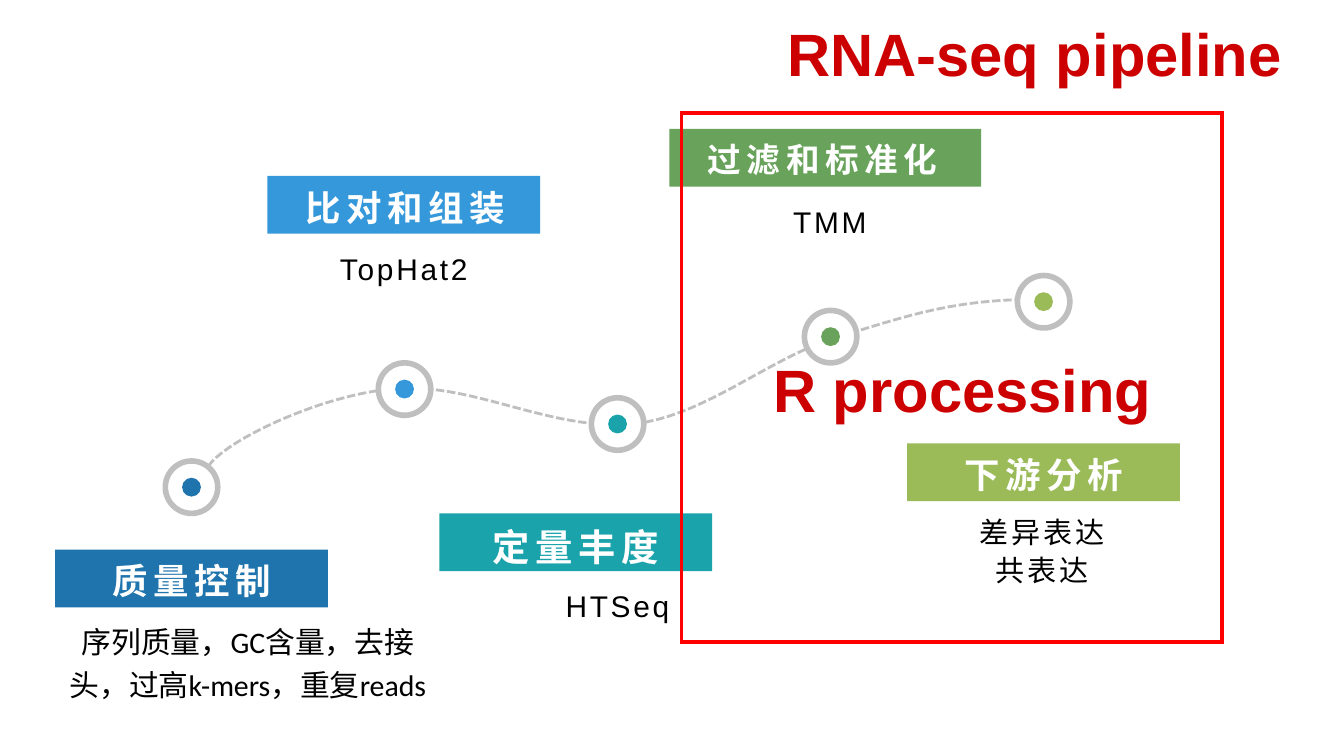
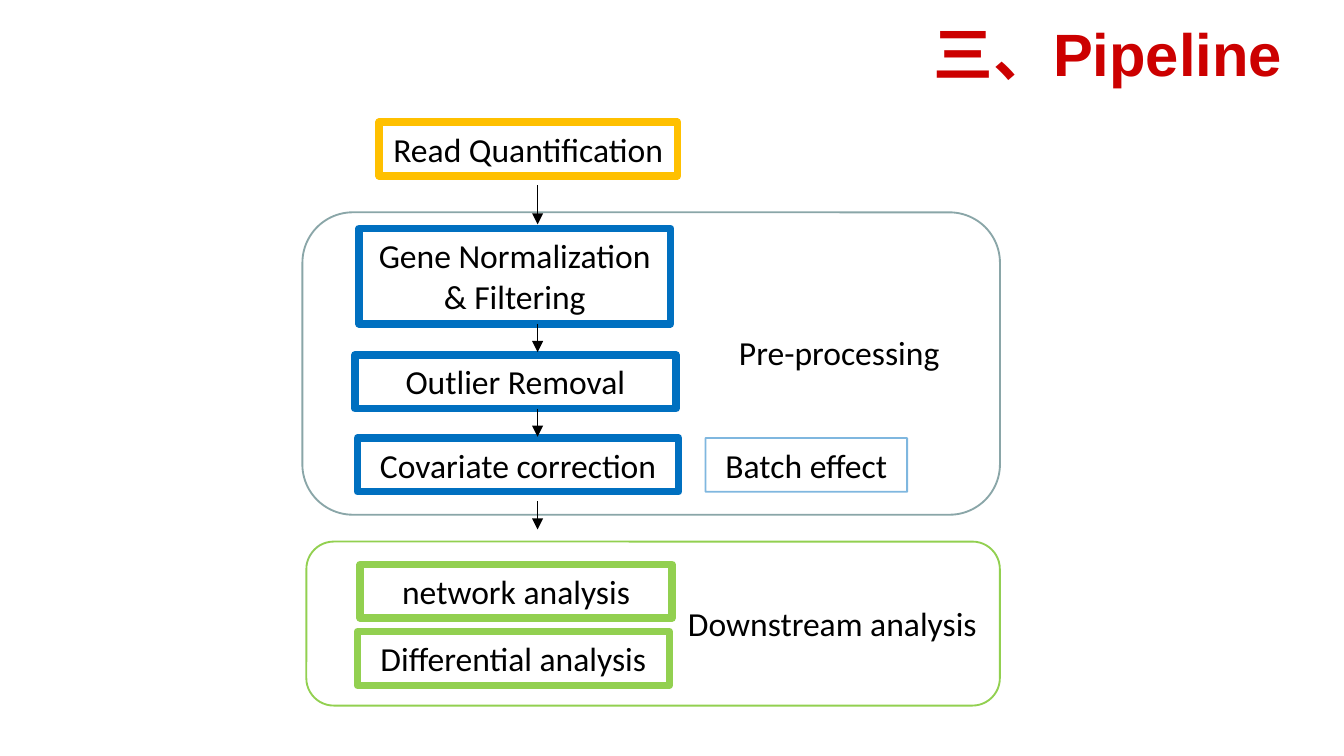
import pptx
import pptx.util
import pptx.dml.color
import pptx.enum.dml
import pptx.enum.shapes
import pptx.enum.text
import pptx.oxml
from pptx.oxml.ns import nsdecls, qn
from dataclasses import dataclass

Inches = pptx.util.Inches
Pt = pptx.util.Pt
SHAPE = pptx.enum.shapes.MSO_SHAPE
ALIGN = pptx.enum.text.PP_ALIGN
ANCHOR = pptx.enum.text.MSO_ANCHOR


@dataclass(frozen=True)
class Theme:
    red: str = "CC0000"
    frame: str = "FF0000"
    black: str = "000000"
    white: str = "FFFFFF"
    track: str = "BFBFBF"
    navy: str = "1F74AD"
    sky: str = "3498DB"
    teal: str = "1AA3AA"
    green: str = "69A35B"
    olive: str = "9BBB59"
    amber: str = "FFC000"
    blue: str = "0070C0"
    lime: str = "92D050"
    slate: str = "8AA6A8"
    heading_font: str = "Arial"
    body_font: str = "Calibri"
    title_size: float = 32
    flow_size: float = 18
    detail_size: float = 16


THEME = Theme()

SLIDE_WIDTH = 10
SLIDE_HEIGHT = SLIDE_WIDTH * 9 / 16

TITLE_BOX = (1.06, 0.16, 8.58, 0.46)
TITLES = ["RNA-seq pipeline", "三、Pipeline"]

R_LABEL = ("R processing", (3.94, 2.66, 4.73, 0.46))
R_FRAME = (5.07, 0.84, 4.02, 3.94)

CURVE_START = (1.55, 3.47)
CURVE_SEGMENTS = [
    ((1.69, 3.26), (2.5, 2.89), (3.03, 2.89)),
    ((3.56, 2.88), (4.07, 3.18), (4.64, 3.16)),
    ((5.21, 3.14), (5.72, 2.65), (6.26, 2.5)),
    ((6.79, 2.34), (7.14, 2.21), (7.86, 2.23)),
]
CURVE_STEPS = 20

FIRST_STOP, LAST_STOP = 1.23, 7.57
RING, DOT = 0.39, 0.14
STOPS = [
    (3.43, THEME.navy),
    (2.7, THEME.sky),
    (2.96, THEME.teal),
    (2.31, THEME.green),
    (2.05, THEME.olive),
]

BAR_HEIGHT, DETAIL_HEIGHT, DETAIL_DROP = 0.43, 0.7, 0.45
STAGES = [
    dict(label="质量控制", color=THEME.navy, bar=(0.41, 4.09, 2.03), label_at=(0.5, 4.09, 1.85),
         size=19, leading=1.1, details=["序列质量，GC含量，去接头，过高k-mers，重复reads"],
         detail_at=(0.41, 2.87), detail_font=THEME.body_font, detail_spacing=0),
    dict(label="定量丰度", color=THEME.teal, bar=(3.27, 3.82, 2.03), label_at=(3.36, 3.82, 1.85),
         size=20, leading=1.2, details=["HTSeq"], detail_at=(3.58, 2.03)),
    dict(label="下游分析", color=THEME.olive, bar=(6.75, 3.3, 2.03), label_at=(6.84, 3.3, 1.85),
         size=19, leading=1.1, details=["差异表达", "共表达"], detail_at=(6.74, 2.03),
         detail_size=15.6, detail_leading=1.1),
    dict(label="比对和组装", color=THEME.sky, bar=(1.99, 1.31, 2.03), label_at=(2.09, 1.31, 1.85),
         size=19, leading=1.1, details=["TopHat2"], detail_at=(1.99, 2.03)),
    dict(label="过滤和标准化", color=THEME.green, bar=(4.98, 0.96, 2.32), label_at=(5.04, 0.94, 2.16),
         size=18, leading=1.2, details=["TMM"], detail_at=(5.16, 2.03)),
]

FLOW_GROUPS = [
    ((2.25, 1.58, 5.19, 2.25), THEME.slate),
    ((2.28, 4.03, 5.16, 1.22), THEME.lime),
]
FLOW_BOXES = [
    ("Read Quantification", (2.82, 0.91, 2.22, 0.4), THEME.amber),
    ("Gene Normalization & Filtering", (2.67, 1.7, 2.32, 0.71), THEME.blue),
    ("Outlier Removal", (2.64, 2.64, 2.39, 0.4), THEME.blue),
    ("Covariate correction", (2.66, 3.26, 2.39, 0.4), THEME.blue),
    ("network analysis", (2.68, 4.2, 2.32, 0.4), THEME.lime),
    ("Differential analysis", (2.66, 4.7, 2.32, 0.4), THEME.lime),
]
BATCH_BOX = ("Batch effect", (5.25, 3.26, 1.5, 0.4), THEME.blue)
GROUP_LABELS = [
    ("Pre-processing", (5.4, 2.42, 1.69, 0.4), False),
    ("Downstream analysis", (5.02, 4.44, 2.42, 0.4), True),
]
ARROW_X = 4
ARROWS = [(1.38, 1.67), (2.41, 2.62), (3.04, 3.25), (3.73, 3.94)]


def rgb(color):
    return pptx.dml.color.RGBColor.from_string(color)


def inches(box):
    return [Inches(value) for value in box]


def append_element(parent, name, attributes=""):
    parent.append(pptx.oxml.parse_xml(f'<a:{name} {nsdecls("a")} {attributes}/>'))


def line_element(shape):
    return shape._element.spPr.find(qn("a:ln"))


def write(shape, lines, size, font=THEME.heading_font, color=THEME.black, bold=False,
          align=ALIGN.CENTER, anchor=ANCHOR.TOP, leading=None, spacing=0, wrap=True):
    frame = shape.text_frame
    frame.text = "\n".join(lines)
    frame.word_wrap = wrap
    frame.vertical_anchor = anchor
    for paragraph in frame.paragraphs:
        paragraph.alignment = align
        if leading:
            paragraph.line_spacing = leading
        for run in paragraph.runs:
            run.font.size = Pt(size)
            run.font.name = font
            run.font.bold = bold
            run.font.color.rgb = rgb(color)
            if spacing:
                run._r.get_or_add_rPr().set("spc", str(int(spacing * 100)))


def add_text(slide, lines, box, size, **style):
    shape = slide.shapes.add_textbox(*inches(box))
    write(shape, lines, size, **style)


def paint(shape, fill=None, line=None, width=1):
    shape.shadow.inherit = False
    if fill:
        shape.fill.solid()
        shape.fill.fore_color.rgb = rgb(fill)
    else:
        shape.fill.background()
    if line:
        shape.line.color.rgb = rgb(line)
        shape.line.width = Pt(width)
    else:
        shape.line.fill.background()


def add_shape(slide, kind, box, **colors):
    shape = slide.shapes.add_shape(kind, *inches(box))
    paint(shape, **colors)
    return shape


def add_heading(slide, text, box):
    add_text(slide, [text], box, THEME.title_size, color=THEME.red, bold=True,
             align=ALIGN.RIGHT, anchor=ANCHOR.MIDDLE)


def curve_points():
    start = CURVE_START
    for first, second, end in CURVE_SEGMENTS:
        for step in range(1, CURVE_STEPS + 1):
            t = step / CURVE_STEPS
            u = 1 - t
            yield tuple(Inches(u ** 3 * a + 3 * u * u * t * b + 3 * u * t * t * c + t ** 3 * d)
                        for a, b, c, d in zip(start, first, second, end))
        start = end


def add_track(slide):
    builder = slide.shapes.build_freeform(*inches(CURVE_START))
    builder.add_line_segments(list(curve_points()), close=False)
    track = builder.convert_to_shape()
    paint(track, line=THEME.track, width=1.5)
    track.line.dash_style = pptx.enum.dml.MSO_LINE.SQUARE_DOT
    gap = (LAST_STOP - FIRST_STOP) / (len(STOPS) - 1)
    inset = (RING - DOT) / 2
    for index, (top, color) in enumerate(STOPS):
        left = FIRST_STOP + index * gap
        add_shape(slide, SHAPE.OVAL, (left, top, RING, RING),
                  fill=THEME.white, line=THEME.track, width=3)
        add_shape(slide, SHAPE.OVAL, (left + inset, top + inset, DOT, DOT), fill=color)


def add_stage(slide, stage):
    add_shape(slide, SHAPE.RECTANGLE, (*stage["bar"], BAR_HEIGHT), fill=stage["color"])
    add_text(slide, [stage["label"]], (*stage["label_at"], BAR_HEIGHT), stage["size"],
             color=THEME.white, bold=True, anchor=ANCHOR.MIDDLE,
             leading=stage["leading"], spacing=3)
    left, width = stage["detail_at"]
    add_text(slide, stage["details"],
             (left, stage["bar"][1] + DETAIL_DROP, width, DETAIL_HEIGHT),
             stage.get("detail_size", THEME.detail_size),
             font=stage.get("detail_font", THEME.heading_font),
             leading=stage.get("detail_leading", 1.2),
             spacing=stage.get("detail_spacing", 1.5))


def add_flow_box(slide, text, box, color, width=4):
    shape = add_shape(slide, SHAPE.RECTANGLE, box, line=color, width=width)
    write(shape, [text], THEME.flow_size, font=THEME.body_font)
    return shape


def add_arrow(slide, top, bottom):
    arrow = slide.shapes.add_connector(pptx.enum.shapes.MSO_CONNECTOR.STRAIGHT,
                                       *inches((ARROW_X, top, ARROW_X, bottom)))
    arrow.line.color.rgb = rgb(THEME.black)
    arrow.line.width = Pt(0.5)
    append_element(line_element(arrow), "tailEnd", 'type="triangle"')
    append_element(arrow._element.spPr, "effectLst")


def build_timeline(slide):
    add_track(slide)
    for stage in STAGES:
        add_stage(slide, stage)
    add_heading(slide, *R_LABEL)
    frame = add_shape(slide, SHAPE.RECTANGLE, R_FRAME, line=THEME.frame, width=2)
    append_element(line_element(frame), "miter", 'lim="800000"')


def build_flowchart(slide):
    for box, color in FLOW_GROUPS:
        add_shape(slide, SHAPE.ROUNDED_RECTANGLE, box, line=color)
    for text, box, color in FLOW_BOXES:
        add_flow_box(slide, text, box, color)
    batch = add_flow_box(slide, *BATCH_BOX, width=1)
    append_element(line_element(batch).find(".//" + qn("a:srgbClr")), "alpha", 'val="50000"')
    for text, box, wrap in GROUP_LABELS:
        add_text(slide, [text], box, THEME.flow_size, font=THEME.body_font,
                 align=ALIGN.LEFT, wrap=wrap)
    for top, bottom in ARROWS:
        add_arrow(slide, top, bottom)


def main():
    presentation = pptx.Presentation()
    presentation.slide_width = Inches(SLIDE_WIDTH)
    presentation.slide_height = Inches(SLIDE_HEIGHT)
    for title, build in zip(TITLES, (build_timeline, build_flowchart)):
        slide = presentation.slides.add_slide(presentation.slide_layouts[6])
        add_heading(slide, title, TITLE_BOX)
        build(slide)
    presentation.save("out.pptx")


if __name__ == "__main__":
    main()
